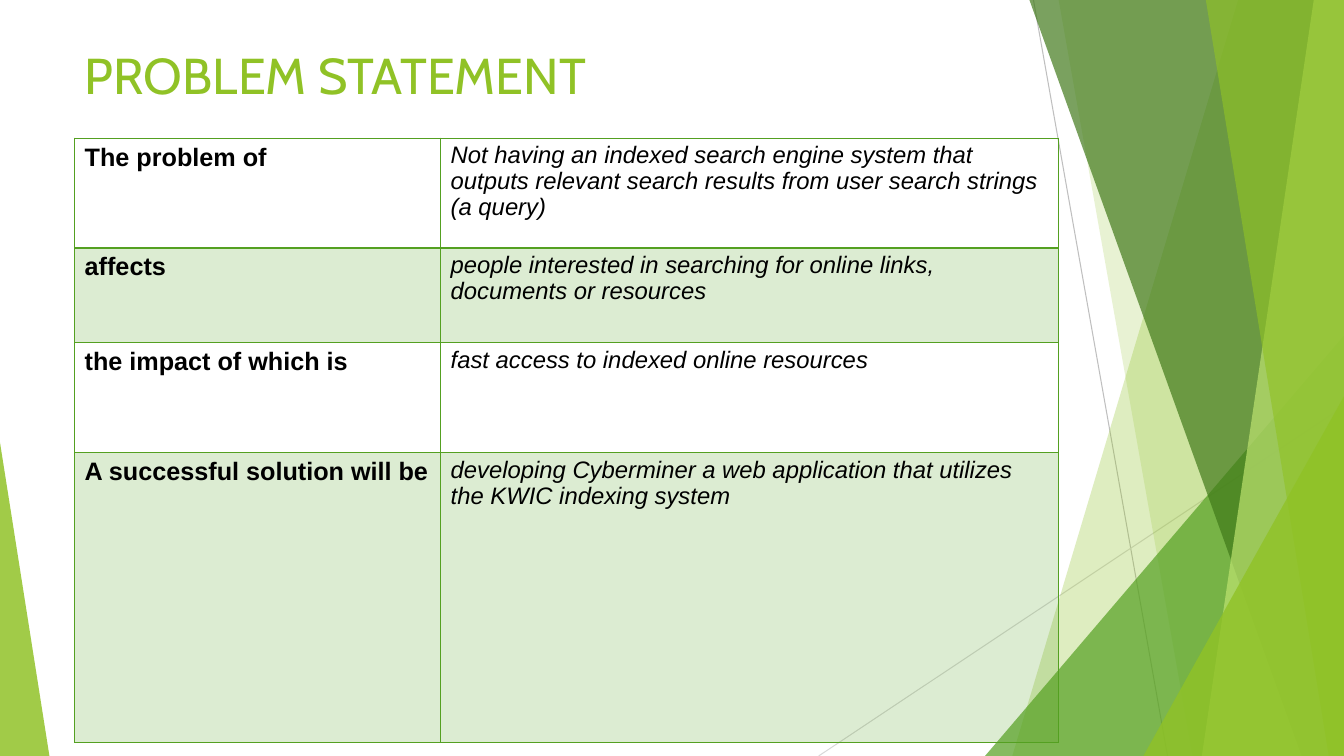
"""Build the problem statement slide with its green facet frame."""
from pptx import Presentation
from pptx.dml.color import RGBColor
from pptx.enum.shapes import MSO_CONNECTOR, MSO_SHAPE
from pptx.enum.text import MSO_ANCHOR, PP_ALIGN
from pptx.oxml import parse_xml
from pptx.oxml.ns import nsdecls, qn
from pptx.util import Inches, Pt

STRAIGHT = MSO_CONNECTOR.STRAIGHT
TRIANGLE = MSO_SHAPE.ISOSCELES_TRIANGLE
TOP, MIDDLE = MSO_ANCHOR.TOP, MSO_ANCHOR.MIDDLE
LEFT = PP_ALIGN.LEFT

LIME = RGBColor(0x90, 0xC2, 0x26)
GREEN = RGBColor(0x54, 0xA0, 0x21)
DARK_GREEN = RGBColor(0x3F, 0x78, 0x18)
PALE_LIME = RGBColor(0xBF, 0xE4, 0x71)
GREY = RGBColor(0xBF, 0xBF, 0xBF)
LIGHT_GREY = RGBColor(0xD8, 0xD8, 0xD8)
BLACK = RGBColor(0, 0, 0)

WIDTH, HEIGHT = 13.33, 7.5
COLUMNS = [3.63, 6.13]
ROW_HEIGHTS = [1.09, 0.94, 1.09, 2.88]
STATEMENTS = [
    ("The problem of",
     "Not having an indexed search engine system that\n"
     "outputs relevant search results from user search strings (a query)"),
    ("affects",
     "people interested in searching for online links, documents or resources"),
    ("the impact of which is", "fast access to indexed online resources"),
    ("A successful solution will be",
     "developing Cyberminer a web application that utilizes the KWIC indexing system"),
]


def write_text(tf, text, size, color, font="Arial", bold=False, italic=False, spacing=None):
    """Write one formatted paragraph for each line of text."""
    for i, line in enumerate(text.split("\n")):
        p = tf.add_paragraph() if i else tf.paragraphs[0]
        p.alignment = LEFT
        p.line_spacing = spacing
        r = p.add_run()
        r.text = line
        r.font.name = font
        r.font.size = Pt(size)
        r.font.bold = bold
        r.font.italic = italic
        r.font.color.rgb = color


def fill_color(fill, element, color, opacity):
    """Give a fill a colour with an opacity in percent."""
    fill.solid()
    fill.fore_color.rgb = color
    clr = element.find(".//" + qn("a:solidFill") + "/" + qn("a:srgbClr"))
    clr.append(parse_xml(f'<a:alpha {nsdecls("a")} val="{opacity * 1000}"/>'))


def style_facet(sp, color, opacity):
    """Make a facet translucent, without outline or shadow."""
    sp.shadow.inherit = False
    fill_color(sp.fill, sp.element, color, opacity)
    sp.line.fill.background()


def add_hairline(s, start, end, color):
    """Draw a thin line between two points."""
    line = s.shapes.add_connector(STRAIGHT, *map(Inches, start + end))
    line.line.color.rgb = color
    line.line.width = Pt(0.75)
    line.element.spPr.append(parse_xml(f'<a:effectLst {nsdecls("a")}/>'))


def add_band(s, top_x, bottom_x, color, opacity):
    """Draw a full-height band from a slanted edge to the right side."""
    corners = [(WIDTH, 0), (WIDTH, HEIGHT), (bottom_x, HEIGHT)]
    builder = s.shapes.build_freeform(Inches(top_x), 0)
    builder.add_line_segments([(Inches(x), Inches(y)) for x, y in corners])
    style_facet(builder.convert_to_shape(), color, opacity)


def add_corner(s, left, top, width, apex, color, opacity):
    """Draw a right triangle that stands on the bottom edge."""
    sp = s.shapes.add_shape(TRIANGLE, *map(Inches, (left, top, width, HEIGHT - top)))
    sp.adjustments[0] = apex
    style_facet(sp, color, opacity)


def add_frame(s):
    """Draw the facets from back to front."""
    add_hairline(s, (10.25, 0), (11.58, HEIGHT), GREY)
    add_hairline(s, (WIDTH, 4.03), (8.12, HEIGHT), LIGHT_GREY)
    add_band(s, 12.28, 10.04, LIME, 29)
    add_band(s, 10.5, 11.83, LIME, 20)
    add_corner(s, 9.77, 3.33, 3.56, 1, GREEN, 71)
    add_band(s, 10.21, 12.91, DARK_GREEN, 69)
    add_band(s, 13.03, 11.92, PALE_LIME, 69)
    add_band(s, 11.96, 13.18, LIME, 64)
    add_corner(s, 11.34, 3.93, 1.99, 1, LIME, 80)
    add_corner(s, 0, 4.39, 0.49, 0, LIME, 84)


def add_title(s, text, left, top, width, height):
    """Place and format the title."""
    title = s.shapes.title
    title.left, title.top, title.width, title.height = map(Inches, (left, top, width, height))
    title.text_frame.vertical_anchor = MIDDLE
    write_text(title.text_frame, text, 36, LIME, font="Cabin")


def set_borders(cell, bottom):
    """Outline a cell in green, with its own bottom line width."""
    tc_pr = cell._tc.get_or_add_tcPr()
    for i, (side, points) in enumerate([("L", 1), ("R", 1), ("T", 1), ("B", bottom)]):
        tc_pr.insert(i, parse_xml(
            f'<a:ln{side} {nsdecls("a")} w="{Pt(points)}"><a:solidFill>'
            f'<a:srgbClr val="{GREEN}"/></a:solidFill></a:ln{side}>'))


def add_statements(s, left, top):
    """Place the table of statements with every second row shaded."""
    box = map(Inches, (left, top, sum(COLUMNS), sum(ROW_HEIGHTS)))
    table = s.shapes.add_table(len(STATEMENTS), len(COLUMNS), *box).table
    table.first_row = table.horz_banding = False
    for column, width in zip(table.columns, COLUMNS):
        column.width = Inches(width)
    for i, (row, height, texts) in enumerate(zip(table.rows, ROW_HEIGHTS, STATEMENTS)):
        row.height = Inches(height)
        label, detail = row.cells
        write_text(label.text_frame, texts[0], 18, BLACK, bold=True)
        write_text(detail.text_frame, texts[1], 17, BLACK, italic=True, spacing=0.97)
        for cell in (label, detail):
            cell.vertical_anchor = TOP
            if i % 2:
                fill_color(cell.fill, cell._tc.get_or_add_tcPr(), GREEN, 20)
            else:
                cell.fill.background()
            set_borders(cell, 1 if i else 2)


def main():
    """Build and save the presentation."""
    prs = Presentation()
    prs.slide_width, prs.slide_height = Inches(WIDTH), Inches(HEIGHT)
    s = prs.slides.add_slide(prs.slide_layouts[5])
    add_frame(s)
    add_title(s, "PROBLEM STATEMENT", 0.74, 0.37, 9.47, 0.74)
    add_statements(s, 0.74, 1.37)
    prs.save("out.pptx")


if __name__ == "__main__":
    main()
